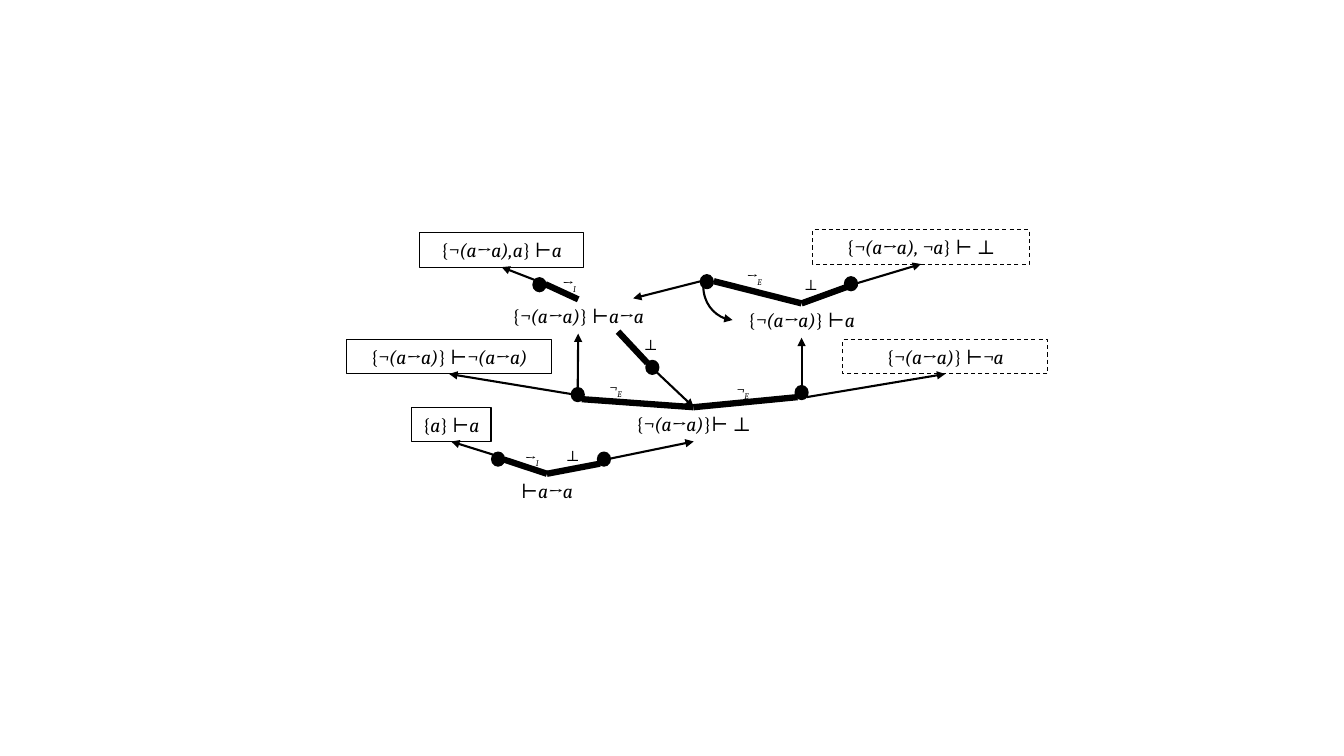
from lxml import etree
from pptx import Presentation
from pptx import util as u
from pptx.dml.color import RGBColor
from pptx.enum import dml, shapes, text
from pptx.oxml.ns import qn


def colour(value):
    return RGBColor.from_string(value)


class ProofDiagram:
    """Draws sequents, rule labels, nodes and edges on one slide."""

    SCALE = 9144
    FONT = "Cambria"
    INK = "000000"
    PAPER = "FFFFFF"
    THIN, ARROW, BRANCH = 0.75, 1.5, 4.5

    def __init__(self, slide):
        self.slide = slide

    def emu(self, *lengths):
        return [u.Emu(length * self.SCALE) for length in lengths]

    def fill_text(self, shape, parts, size):
        frame = shape.text_frame
        frame.word_wrap = True
        frame.auto_size = text.MSO_AUTO_SIZE.SHAPE_TO_FIT_TEXT
        paragraph = frame.paragraphs[0]
        paragraph.alignment = text.PP_ALIGN.CENTER
        for words, italic in parts:
            run = paragraph.add_run()
            run.text = words
            run.font.name = self.FONT
            run.font.size = u.Pt(size)
            run.font.italic = italic
            run.font.color.rgb = colour(self.INK)
        return paragraph

    def sequent_parts(self, markup):
        pieces = enumerate(markup.split("*"))
        return [(piece, index % 2 == 1) for index, piece in pieces if piece]

    def sequent(self, bounds, markup):
        shape = self.slide.shapes.add_textbox(*self.emu(*bounds))
        self.fill_text(shape, self.sequent_parts(markup), 14)
        return shape

    def leaf(self, bounds, markup, dashed=False, filled=False):
        shape = self.slide.shapes.add_shape(
            shapes.MSO_SHAPE.RECTANGLE, *self.emu(*bounds))
        shape.shadow.inherit = False
        if filled:
            shape.fill.solid()
            shape.fill.fore_color.rgb = colour(self.PAPER)
        else:
            shape.fill.background()
        shape.line.color.rgb = colour(self.INK)
        shape.line.width = u.Pt(self.THIN)
        if dashed:
            shape.line.dash_style = dml.MSO_LINE.DASH
        self.fill_text(shape, self.sequent_parts(markup), 14)
        return shape

    def rule(self, bounds, symbol, subscript=""):
        shape = self.slide.shapes.add_textbox(*self.emu(*bounds))
        parts = [(symbol, bool(subscript))]
        if subscript:
            parts.append((subscript, True))
        paragraph = self.fill_text(shape, parts, 10.5)
        for run in paragraph.runs[1:]:
            run.font._element.set("baseline", "-25000")

    def node(self, left, top):
        shape = self.slide.shapes.add_shape(
            shapes.MSO_SHAPE.OVAL, *self.emu(left, top, 12, 13))
        shape.shadow.inherit = False
        shape.fill.solid()
        shape.fill.fore_color.rgb = colour(self.INK)
        shape.line.color.rgb = colour(self.INK)
        shape.line.width = u.Pt(self.ARROW)

    def connector(self, kind, start, end, width, arrow):
        connector = self.slide.shapes.add_connector(
            kind, *self.emu(*start, *end))
        connector.line.color.rgb = colour(self.INK)
        connector.line.width = u.Pt(width)
        properties = connector._element.spPr
        if arrow:
            line = properties.find(qn("a:ln"))
            etree.SubElement(line, qn("a:tailEnd")).set("type", "triangle")
        etree.SubElement(properties, qn("a:effectLst"))
        return connector

    def edge(self, start, end, width, arrow):
        points = [point if isinstance(point[0], int) else (0, 0)
                  for point in (start, end)]
        connector = self.connector(
            shapes.MSO_CONNECTOR.STRAIGHT, *points, width, arrow)
        if not isinstance(start[0], int):
            connector.begin_connect(*start)
        if not isinstance(end[0], int):
            connector.end_connect(*end)

    def branch(self, start, end):
        self.edge(start, end, self.BRANCH, False)

    def arrow(self, start, end):
        self.edge(start, end, self.ARROW, True)

    def curved_arrow(self, start, end):
        connector = self.connector(
            shapes.MSO_CONNECTOR.CURVE, start, end, self.ARROW, True)
        properties = connector._element.spPr
        properties.find(qn("a:prstGeom")).set("prst", "curvedConnector2")
        properties.find(qn("a:xfrm")).set("rot", "16200000")


TOP, BOTTOM = 0, 2


def main():
    presentation = Presentation()
    presentation.slide_width = u.Emu(1333 * ProofDiagram.SCALE)
    presentation.slide_height = u.Emu(750 * ProofDiagram.SCALE)
    slide = presentation.slides.add_slide(presentation.slide_layouts[6])
    diagram = ProofDiagram(slide)

    goal = diagram.sequent((480, 470, 125, 34), "⊢*a→a*")
    absurd = diagram.sequent((615, 404, 146, 34), "{*¬(a→a)*}⊢ ⊥")
    implication = diagram.sequent((472, 297, 203, 34), "{*¬(a→a)*} ⊢*a→a*")
    atom = diagram.sequent((726, 301, 138, 34), "{*¬(a→a)*} ⊢*a*")

    axiom = diagram.leaf((408, 404, 79, 34), "{*a*} ⊢*a*")
    negation = diagram.leaf(
        (344, 337, 203, 34), "{*¬(a→a)*} ⊢*¬(a→a)*", filled=True)
    open_negation = diagram.leaf(
        (836, 337, 203, 34), "{*¬(a→a)*} ⊢*¬a*", dashed=True, filled=True)
    assumption = diagram.leaf((416, 231, 163, 34), "{*¬(a→a),a*} ⊢*a*")
    open_absurd = diagram.leaf(
        (806, 228, 215, 34), "{*¬(a→a), ¬a*} ⊢ ⊥", dashed=True)

    for start, end in [
        ((goal, TOP), (500, 456)),
        ((goal, TOP), (595, 460)),
        ((absurd, TOP), (577, 396)),
        ((absurd, TOP), (791, 394)),
        ((implication, TOP), (541, 282)),
        ((613, 329), (642, 360)),
        ((atom, TOP), (850, 281)),
        ((atom, TOP), (708, 279)),
    ]:
        diagram.branch(start, end)

    for start, end in [
        ((489, 451), (axiom, BOTTOM)),
        ((605, 455), (absurd, BOTTOM)),
        ((567, 391), (negation, BOTTOM)),
        ((573, 385), (implication, BOTTOM)),
        ((795, 383), (atom, BOTTOM)),
        ((800, 394), (open_negation, BOTTOM)),
        ((531, 278), (assumption, BOTTOM)),
        ((651, 369), (absurd, TOP)),
        ((850, 281), (open_absurd, BOTTOM)),
        ((695, 279), (628, 296)),
    ]:
        diagram.arrow(start, end)
    diagram.curved_arrow((729, 286), (695, 315))

    for left, top in [(488, 449), (593, 449), (567, 385), (789, 383),
                      (529, 276), (641, 358), (838, 275), (695, 273)]:
        diagram.node(left, top)

    for bounds, *label in [
        ((506, 440, 43, 28), "→", "I"),
        ((547, 438, 42, 29), "⊥"),
        ((543, 267, 43, 28), "→", "I"),
        ((783, 269, 43, 28), "⊥"),
        ((624, 328, 43, 28), "⊥"),
        ((581, 371, 59, 28), "¬", "E"),
        ((707, 373, 59, 28), "¬", "E"),
        ((725, 260, 46, 28), "→", "E"),
    ]:
        diagram.rule(bounds, *label)

    presentation.save("out.pptx")


if __name__ == "__main__":
    main()
